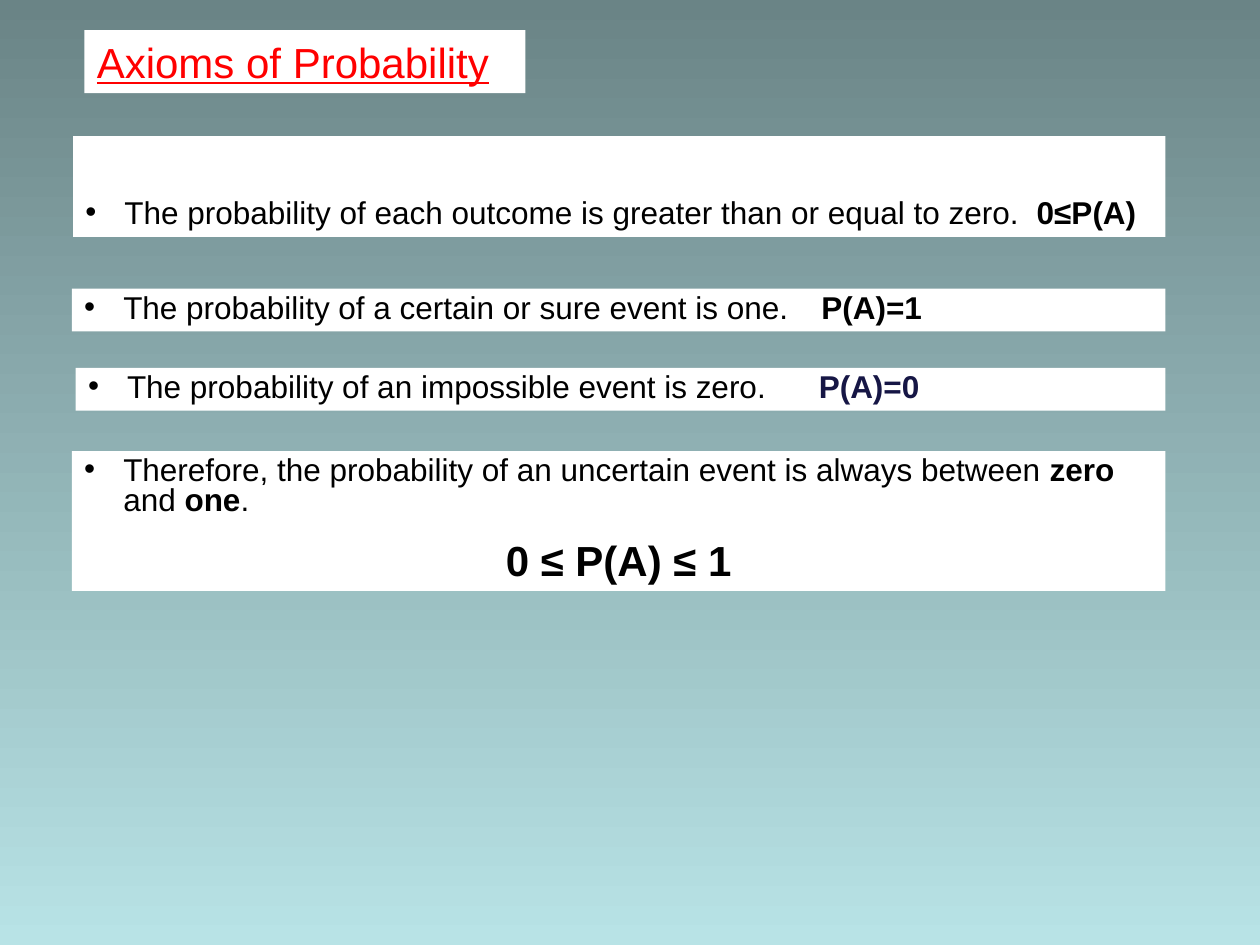
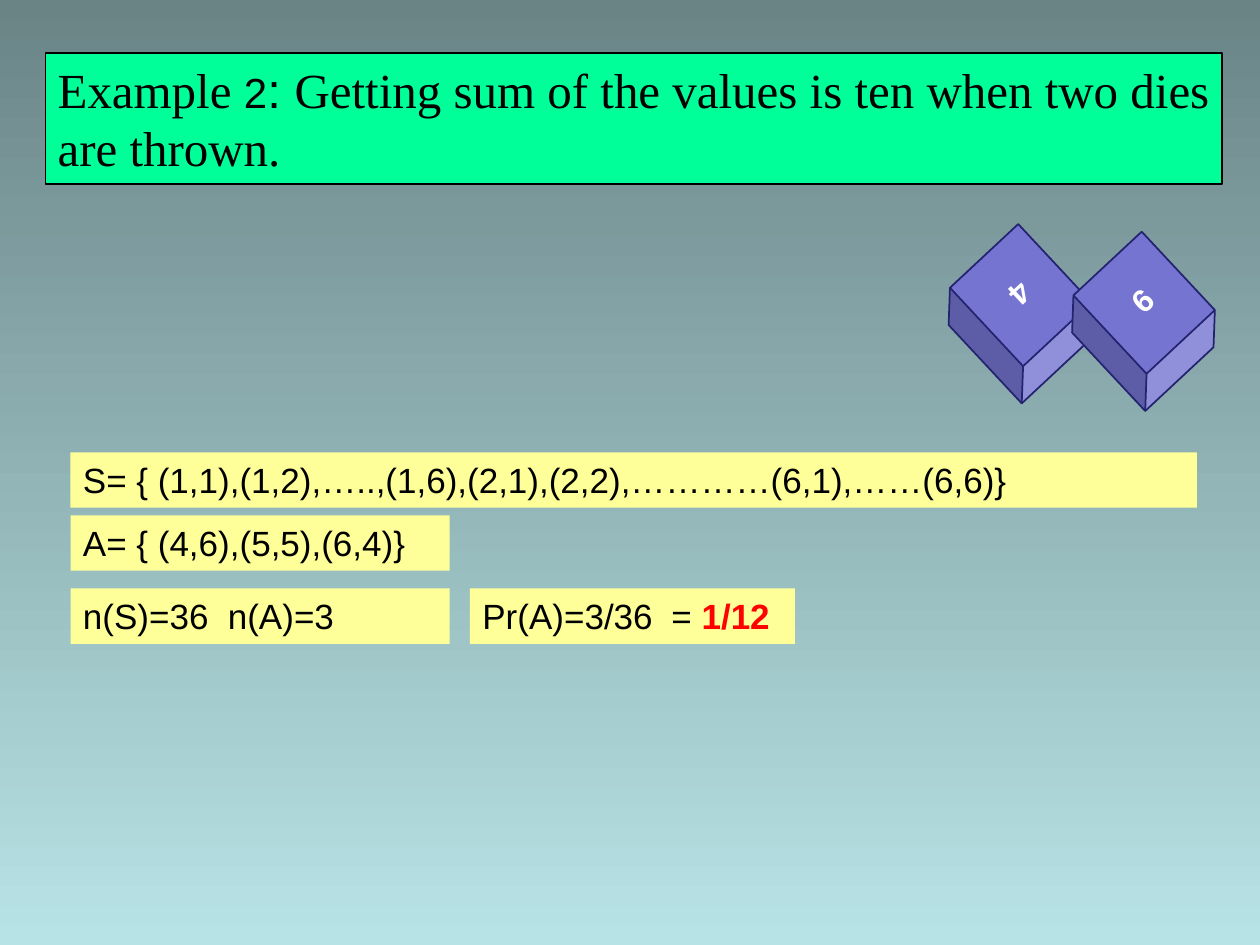
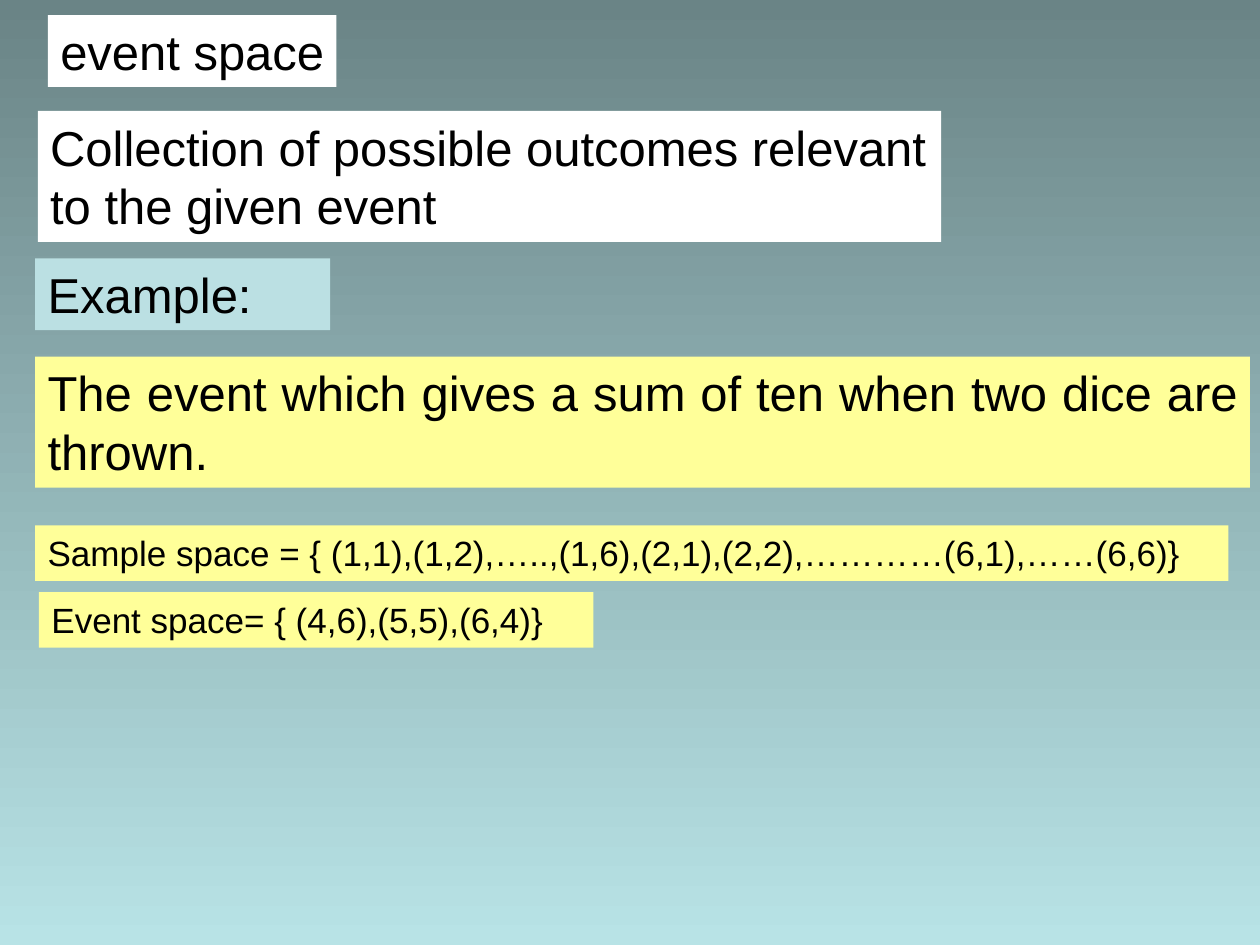
from lxml.etree import SubElement
from pptx import Presentation
from pptx.dml.color import RGBColor
from pptx.enum.shapes import MSO_SHAPE as Shape
from pptx.enum.text import MSO_ANCHOR as Anchor, PP_ALIGN as Align
from pptx.oxml.ns import qn
from pptx.util import Inches, Pt

BLACK = RGBColor(0x00, 0x00, 0x00)
WHITE = RGBColor(0xFF, 0xFF, 0xFF)
RED = RGBColor(0xFF, 0x00, 0x00)
NAVY = RGBColor(0x16, 0x16, 0x45)
YELLOW = RGBColor(0xFF, 0xFF, 0x99)
GREEN = RGBColor(0x00, 0xFF, 0x99)
PALE_BLUE = RGBColor(0xBB, 0xE0, 0xE3)
DIE_FILL = RGBColor(0x75, 0x75, 0xD1)
DIE_EDGE = RGBColor(0x23, 0x23, 0x6F)
BACKGROUND = (RGBColor(0x6A, 0x84, 0x86), RGBColor(0xB8, 0xE3, 0xE6))

BODY_FONT = "Arial"
SERIF_FONT = "Times New Roman"
BOLD = {"bold": True}
HANGING = 0.31


def set_background(master):
    fill = master.background.fill
    fill.gradient()
    fill.gradient_angle = 270
    for stop, color, position in zip(fill.gradient_stops, BACKGROUND, (0, 1)):
        stop.color.rgb = color
        stop.position = position


def style_font(font, size=None, color=None, name=None, bold=None, underline=None):
    """Set only the font properties that are given."""
    if size:
        font.size = Pt(size)
    if color is not None:
        font.color.rgb = color
    if name:
        font.name = name
    if bold is not None:
        font.bold = bold
    if underline is not None:
        font.underline = underline


def add_bullet(paragraph):
    properties = paragraph._p.get_or_add_pPr()
    color = SubElement(properties, qn("a:buClr"))
    SubElement(color, qn("a:srgbClr"), val=str(BLACK))
    SubElement(properties, qn("a:buFont"), typeface=BODY_FONT)
    SubElement(properties, qn("a:buChar"), char="•")


def add_tab(paragraph, position):
    tabs = SubElement(paragraph._p.get_or_add_pPr(), qn("a:tabLst"))
    SubElement(tabs, qn("a:tab"), pos=str(Inches(position)), algn="l")


def write(paragraph, runs, size, color=BLACK, name=BODY_FONT, align=Align.LEFT,
          tab=None, **style):
    """Fill a paragraph with plain strings or (text, font style) pairs."""
    if tab:
        add_tab(paragraph, tab)
    paragraph.alignment = align
    style_font(paragraph.font, size, color, name, **style)
    for item in [runs] if isinstance(runs, str) else runs:
        text, run_style = (item, {}) if isinstance(item, str) else item
        run = paragraph.add_run()
        run.text = text
        style_font(run.font, **run_style)


def hang(paragraph):
    """Indent a paragraph under its bullet and tighten its lines."""
    properties = paragraph._p.get_or_add_pPr()
    properties.set("marL", str(Inches(HANGING)))
    properties.set("indent", str(-Inches(HANGING)))
    paragraph.line_spacing = 0.8


def add_panel(slide, left, top, width, height, fill, kind=Shape.RECTANGLE,
              line=None, line_width=1.0, anchor=Anchor.TOP, wrap=True):
    panel = slide.shapes.add_shape(
        kind, Inches(left), Inches(top), Inches(width), Inches(height))
    panel.shadow.inherit = False
    panel.fill.solid()
    panel.fill.fore_color.rgb = fill
    if line is None:
        panel.line.fill.background()
    else:
        panel.line.color.rgb = line
        panel.line.width = Pt(line_width)
    panel.text_frame.word_wrap = wrap
    panel.text_frame.vertical_anchor = anchor
    return panel


def add_text_panel(slide, box, fill, runs, size, wrap=True, **style):
    panel = add_panel(slide, *box, fill, wrap=wrap)
    write(panel.text_frame.paragraphs[0], runs, size, **style)


def add_axiom(slide, box, runs, tab=None):
    """Add a white panel with one bulleted statement; return its text frame."""
    frame = add_panel(slide, *box, WHITE, anchor=Anchor.BOTTOM).text_frame
    paragraph = frame.paragraphs[0]
    add_bullet(paragraph)
    write(paragraph, runs, 18, tab=tab)
    hang(paragraph)
    return frame


def add_die(slide, left, top, value):
    die = add_panel(slide, left, top, 0.95, 1.06, DIE_FILL, Shape.CUBE,
                    DIE_EDGE, anchor=Anchor.MIDDLE)
    die.adjustments[0] = 0.22
    die.rotation = 137
    write(die.text_frame.paragraphs[0], value, 18, WHITE,
          align=Align.CENTER, bold=True)


def build_axioms(slide):
    add_axiom(slide, (0.58, 1.08, 8.67, 0.8), [
        "The probability of each outcome is greater than or equal to zero.  ",
        ("0≤P(A)", BOLD)])
    add_text_panel(slide, (0.67, 0.24, 3.5, 0.5), WHITE, "Axioms of Probability",
                   24, color=RED, underline=True)
    add_axiom(slide, (0.57, 2.29, 8.68, 0.34), [
        "The probability of a certain or sure event is one.\t",
        ("P(A)=1", BOLD)], tab=5.85)
    add_axiom(slide, (0.6, 2.92, 8.65, 0.34), [
        "The probability of an impossible event is zero.\t",
        ("P(A)=0", {"bold": True, "color": NAVY})], tab=5.8)
    conclusion = add_axiom(slide, (0.57, 3.58, 8.68, 1.11), [
        "Therefore, the probability of an uncertain event is always between ",
        ("zero ", BOLD), "and ", ("one", BOLD), "."])
    conclusion.vertical_anchor = Anchor.TOP
    formula = conclusion.add_paragraph()
    write(formula, "0 ≤ P(A) ≤ 1", 24, align=Align.CENTER, bold=True)
    hang(formula)
    formula.space_before = Pt(15)


def build_dice_example(slide):
    solution = [
        ((0.56, 4.67, 3.01, 0.44), "n(S)=36\tn(A)=3", 1.15),
        ((0.56, 3.59, 8.94, 0.44),
         "S= { (1,1),(1,2),…..,(1,6),(2,1),(2,2),…………(6,1),……(6,6)}", None),
        ((0.56, 4.09, 3.01, 0.44), "A= { (4,6),(5,5),(6,4)}", None),
        ((3.73, 4.67, 2.58, 0.44),
         ["Pr(A)=3/36\t= ", ("1/12", {"bold": True, "color": RED})], 1.5),
    ]
    for box, runs, tab in solution:
        add_text_panel(slide, box, YELLOW, runs, 20, align=Align.JUSTIFY, tab=tab)
    add_die(slide, 7.62, 1.96, "4")
    add_die(slide, 8.6, 2.02, "9")
    heading = add_panel(slide, 0.36, 0.42, 9.34, 1.04, GREEN,
                        line=BLACK, line_width=0.75)
    write(heading.text_frame.paragraphs[0], [
        "Example ", ("2", {"size": 24, "name": BODY_FONT}),
        (": ", {"name": BODY_FONT}),
        "Getting sum of the values is ten when two dies are thrown."],
        28, name=SERIF_FONT, align=Align.JUSTIFY)


def build_event_space(slide):
    add_text_panel(slide, (0.28, 2.05, 2.34, 0.57), PALE_BLUE, "Example:", 28,
                   align=Align.JUSTIFY)
    add_text_panel(slide, (0.28, 2.83, 9.64, 1.04), YELLOW,
                   "The event which gives a sum of ten when two dice are thrown.",
                   28, align=Align.JUSTIFY)
    add_text_panel(
        slide, (0.28, 4.17, 9.47, 0.44), YELLOW,
        "Sample space = { (1,1),(1,2),…..,(1,6),(2,1),(2,2),…………(6,1),……(6,6)}",
        20, align=Align.JUSTIFY)
    add_text_panel(slide, (0.31, 4.7, 4.4, 0.44), YELLOW,
                   "Event space= { (4,6),(5,5),(6,4)}", 20)
    add_text_panel(slide, (0.38, 0.12, 2.29, 0.57), WHITE, "event space", 28,
                   wrap=False)
    add_text_panel(slide, (0.3, 0.88, 7.17, 1.04), WHITE,
                   "Collection of possible outcomes relevant to the given event", 28)


def main():
    presentation = Presentation()
    presentation.slide_width = Inches(10)
    presentation.slide_height = Inches(7.5)
    set_background(presentation.slide_master)
    blank = presentation.slide_layouts[6]
    for build in (build_axioms, build_dice_example, build_event_space):
        build(presentation.slides.add_slide(blank))
    presentation.save("out.pptx")


if __name__ == "__main__":
    main()
